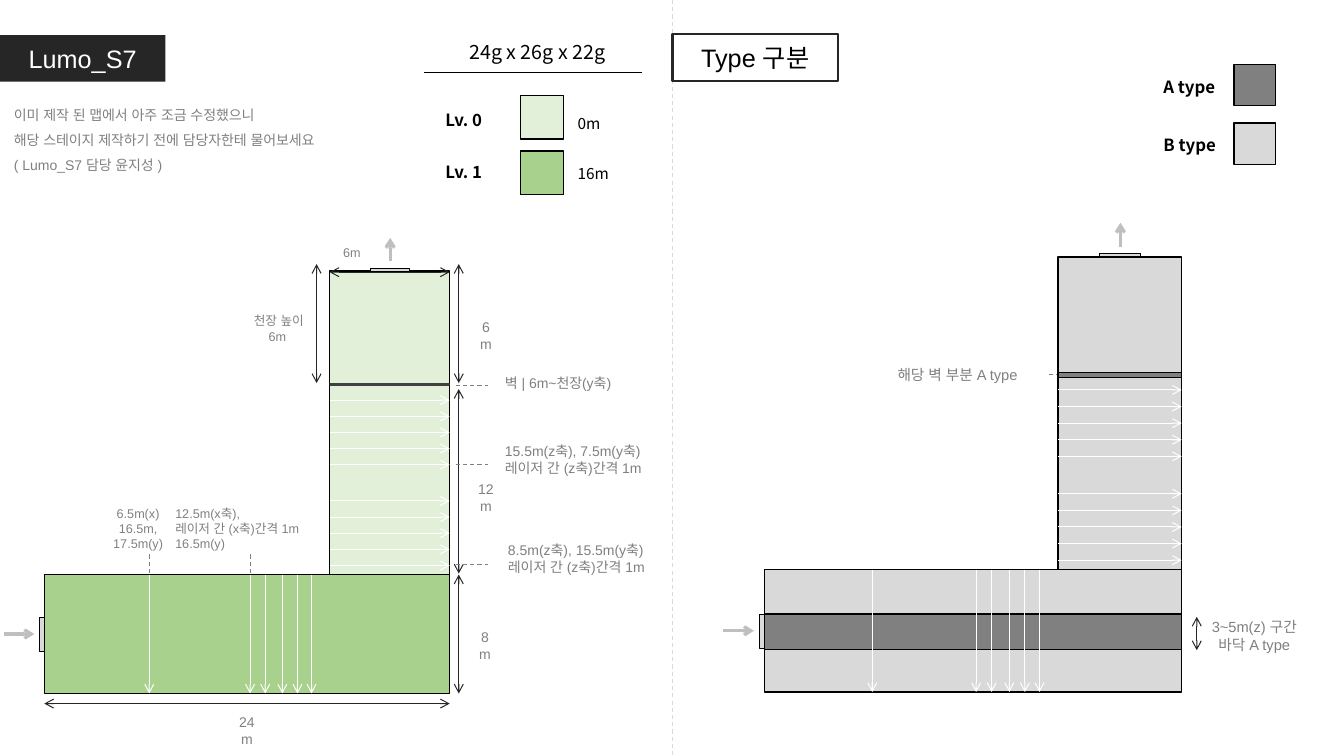
import dataclasses
import pptx
import pptx.dml.color
import pptx.enum.dml
import pptx.enum.shapes
import pptx.enum.text
import pptx.oxml.ns
import pptx.slide
import pptx.util
from lxml import etree

COLUMNS, ROWS = 13.33, 7.5
BLACK, WHITE, INK = "000000", "FFFFFF", "262626"
GRAY, SILVER, ARROW = "808080", "D9D9D9", "BFBFBF"
PALE_GREEN, GREEN = "E2F0D9", "A9D18E"
KOREAN = "Noto Sans CJK KR"


def colour(code):
    return pptx.dml.color.RGBColor.from_string(code)


def add_tag(parent, name, **attributes):
    return etree.SubElement(parent, pptx.oxml.ns.qn(name), attributes)


@dataclasses.dataclass
class Sketch:
    page: pptx.slide.Slide
    column: float
    row: float
    font: str = "Arial"

    def place(self, x, y):
        return round(x * self.column), round(y * self.row)

    def letter(self, box, text, size, code, align, bold=False, font=None, spacing=None):
        frame = box.text_frame
        frame.text = text
        frame.word_wrap = True
        aligns = align.split()
        for index, para in enumerate(frame.paragraphs):
            name = aligns[min(index, len(aligns) - 1)]
            para.alignment = getattr(pptx.enum.text.PP_ALIGN, name)
            para.line_spacing = spacing
            for span in para.runs:
                span.font.size = pptx.util.Pt(size)
                span.font.bold = bold
                span.font.name = font or self.font
                span.font.color.rgb = colour(code)
                add_tag(span.font._element, "a:ea", typeface=font or self.font)

    def label(self, x, y, width, height, text, size=10, code=GRAY, align="LEFT", **style):
        box = self.page.shapes.add_textbox(*self.place(x, y), *self.place(width, height))
        self.letter(box, text, size, code, align, **style)

    def block(self, x, y, width, height, fill, line=BLACK, weight=1):
        kind = pptx.enum.shapes.MSO_SHAPE.RECTANGLE
        box = self.page.shapes.add_shape(kind, *self.place(x, y), *self.place(width, height))
        box.shadow.inherit = False
        box.fill.solid()
        box.fill.fore_color.rgb = colour(fill)
        if line:
            box.line.color.rgb = colour(line)
            box.line.width = pptx.util.Pt(weight)
        else:
            box.line.fill.background()
        return box

    def title(self, x, y, text, fill, line, code):
        box = self.block(x, y, 1.64, 0.46, fill, line, 1.5)
        box.text_frame.vertical_anchor = pptx.enum.text.MSO_ANCHOR.MIDDLE
        self.letter(box, text, 18, code, "CENTER")

    def line(self, x1, y1, x2, y2, code, weight=0.75, dash=False, ends=()):
        kind = pptx.enum.shapes.MSO_CONNECTOR.STRAIGHT
        link = self.page.shapes.add_connector(kind, *self.place(x1, y1), *self.place(x2, y2))
        link.line.color.rgb = colour(code)
        link.line.width = pptx.util.Pt(weight)
        if dash:
            link.line.dash_style = pptx.enum.dml.MSO_LINE.DASH
        for end in ends:
            add_tag(link.line._get_or_add_ln(), f"a:{end}End", type="arrow")
        add_tag(link._element.spPr, "a:effectLst")

    def arrow(self, x1, y1, x2, y2, code, weight=0.75):
        self.line(x1, y1, x2, y2, code, weight, ends=("tail",))

    def measure(self, x1, y1, x2, y2):
        self.line(x1, y1, x2, y2, INK, ends=("head", "tail"))

    def stage_map(self, left, top, scale, base, tower, wall, band=None):
        def spot(x, y):
            return left + x * scale, top + y * scale

        def room(x, y, width, height, *look):
            self.block(*spot(x, y), width * scale, height * scale, *look)

        def pointer(start, finish, *look):
            self.arrow(*spot(*start), *spot(*finish), *look)

        room(0, 3.01, 4.02, 1.18, base)
        if band:
            room(0, 3.44, 4.02, 0.34, band)
        room(-0.05, 3.44, 0.05, 0.33, SILVER, BLACK, 0.75)
        pointer((-0.4, 3.6), (-0.1, 3.6), ARROW, 2.25)
        for x in (1.04, 2.04, 2.19, 2.36, 2.51, 2.65):
            pointer((x, 3.01), (x, 4.19), WHITE)
        room(2.83, 1.13, 1.19, 1.88, tower)
        room(2.83, 0, 1.19, 1.13, tower)
        for first in (1.28, 2.28):
            for step in range(5):
                y = first + step * 0.16
                pointer((2.83, y), (4.02, y), WHITE)
        room(2.83, 1.11, 1.19, *wall)
        room(3.23, -0.03, 0.39, 0.03, SILVER, BLACK, 0.75)
        pointer((3.43, -0.1), (3.43, -0.33), ARROW, 2.25)


deck = pptx.Presentation()
deck.slide_width = pptx.util.Inches(COLUMNS)
deck.slide_height = pptx.util.Inches(ROWS)
page = deck.slides.add_slide(deck.slide_layouts[6])
sketch = Sketch(page, deck.slide_width / COLUMNS, deck.slide_height / ROWS)

sketch.title(0, 0.35, "Lumo_S7", INK, None, WHITE)
sketch.line(4.21, 0.72, 6.37, 0.72, BLACK, 1)
sketch.label(4.38, 0.35, 1.9, 0.29, "24g x 26g x 22g", 14, BLACK, "CENTER", font=KOREAN)
levels = [("Lv. 0", PALE_GREEN, "0m", 1.08), ("Lv. 1", GREEN, "16m", 1.58)]
for index, (level, fill, height, text_top) in enumerate(levels):
    top = 0.95 + index * 0.55
    sketch.block(5.16, top, 0.43, 0.43, fill)
    sketch.label(5.63, text_top, 0.61, 0.24, height, 11, BLACK, font=KOREAN)
    sketch.label(4.32, 1.04 + index * 0.52, 0.92, 0.26, level, 12, BLACK, bold=True, font=KOREAN)

notes = "이미 제작 된 맵에서 아주 조금 수정했으니\n해당 스테이지 제작하기 전에 담당자한테 물어보세요\n( Lumo_S7 담당 윤지성 )"
sketch.label(0.04, 0.92, 3.63, 0.83, notes, spacing=1.5)

sketch.stage_map(0.44, 2.69, 1, GREEN, PALE_GREEN, (0.03, "404040", None))
for ends in [(0.44, 6.98, 4.46, 6.98), (3.27, 2.7, 4.46, 2.7), (4.55, 5.7, 4.55, 6.88),
             (4.55, 3.86, 4.55, 5.69), (4.55, 2.62, 4.55, 3.8), (3.14, 2.62, 3.14, 3.8)]:
    sketch.measure(*ends)
for y in (3.82, 4.61, 5.6):
    sketch.line(4.52, y, 4.84, y, GRAY, dash=True)
for x in (1.48, 2.48):
    sketch.line(x, 5.5, x, 5.7, GRAY, dash=True)

for x, y, width, text in [(2.22, 7.03, 0.46, "24m"), (4.62, 6.19, 0.38, "8m"),
                          (4.59, 4.72, 0.46, "12m"), (4.63, 3.11, 0.38, "6m")]:
    sketch.label(x, y, width, 0.26, text, align="CENTER")
for x, y, width, text, align in [
        (0.9, 4.97, 0.94, "6.5m(x)\n16.5m, 17.5m(y)", "CENTER"),
        (1.64, 4.97, 1.7, "12.5m(x축),\n레이저 간 (x축)간격 1m\n16.5m(y)", "LEFT"),
        (3.17, 2.38, 0.64, "6m", "CENTER"),
        (2.39, 3.06, 0.72, "천장 높이\n6m", "RIGHT CENTER")]:
    sketch.label(x, y, width, 0.4, text, 9, align=align)
for x, y, text in [(4.91, 3.67, "벽 | 6m~천장(y축)"),
                   (4.91, 4.34, "15.5m(z축), 7.5m(y축)\n레이저 간 (z축)간격 1m"),
                   (4.94, 5.32, "8.5m(z축), 15.5m(y축)\n레이저 간 (z축)간격 1m")]:
    sketch.label(x, y, 1.9, 0.42, text)

sketch.line(6.67, 0, 6.67, ROWS, SILVER, dash=True)
sketch.title(6.67, 0.34, "Type 구분", WHITE, INK, BLACK)
for index, (name, fill) in enumerate([("A type", GRAY), ("B type", SILVER)]):
    top = 0.64 + index * 0.58
    sketch.block(12.24, top, 0.41, 0.41, fill)
    sketch.label(11.44, top + 0.07, 0.88, 0.25, name, 12, BLACK, bold=True, font=KOREAN)

sketch.line(10.4, 3.72, 10.71, 3.72, GRAY, dash=True)
sketch.stage_map(7.58, 2.55, 1.03, SILVER, SILVER, (0.05, GRAY), band=GRAY)
sketch.measure(11.87, 6.12, 11.87, 6.45)
sketch.label(11.9, 6.08, 1.08, 0.45, "3~5m(z) 구간\n바닥 A type", 10.5, align="CENTER")
sketch.label(8.27, 3.58, 1.92, 0.28, "해당 벽 부분 A type", 10.5, align="RIGHT")

deck.save("out.pptx")
